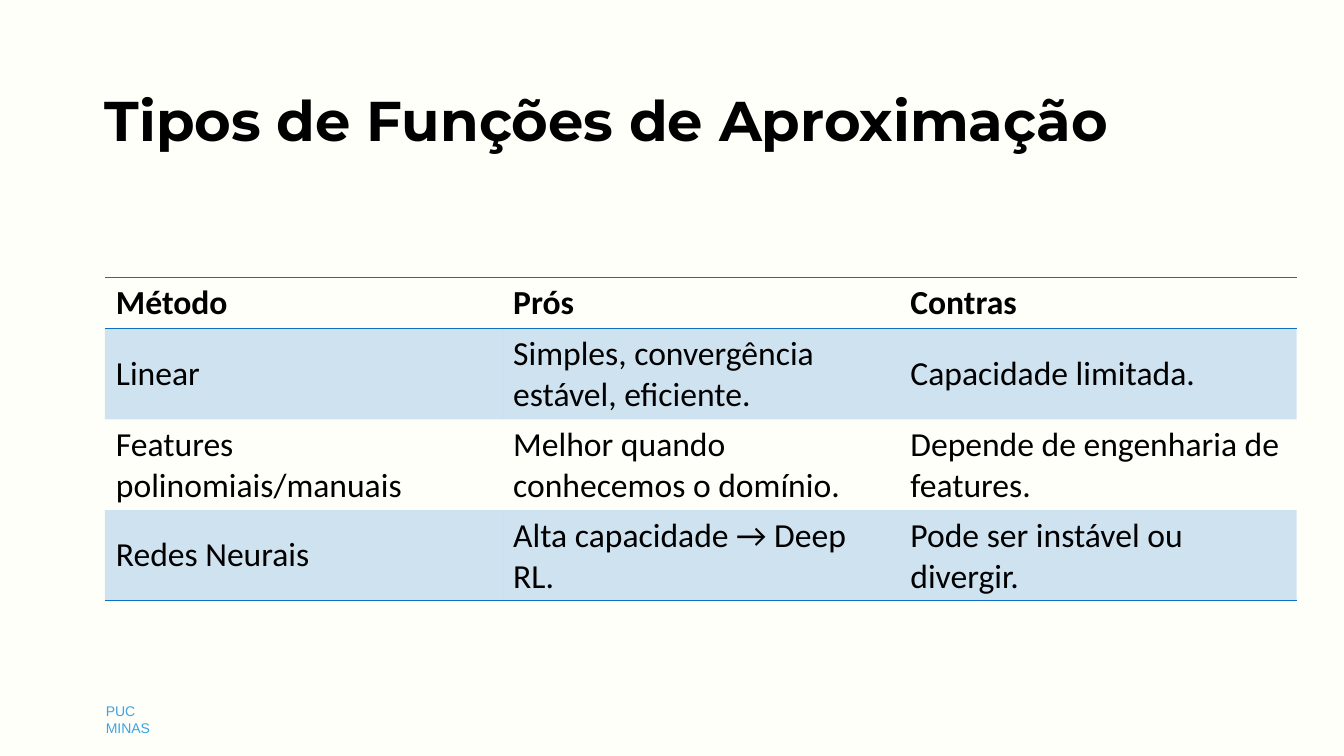
import pptx
import pptx.dml.color
import pptx.enum.text
import pptx.oxml.ns
import pptx.util
from lxml import etree

Inches = pptx.util.Inches
qn = pptx.oxml.ns.qn

COLORS = {"background": "FFFFFA", "text": "000000", "footer": "3CA3E1", "accent": "0F6FC6"}
TITLE = "Tipos de Funções de Aproximação"
FOOTER = "PUC MINAS"
METHODS = [
    ("Método", "Prós", "Contras"),
    ("Linear", "Simples, convergência estável, eficiente.", "Capacidade limitada."),
    ("Features polinomiais/manuais", "Melhor quando conhecemos o domínio.",
     "Depende de engenharia de features."),
    ("Redes Neurais", "Alta capacidade → Deep RL.", "Pode ser instável ou divergir."),
]
COLUMN_WIDTH = 3.94
HEADER_HEIGHT, BODY_HEIGHT = 0.51, 0.9
RULED_EDGES = {0, 1, len(METHODS)}
BAND_OPACITY = 20


def rgb(name):
    return pptx.dml.color.RGBColor.from_string(COLORS[name])


def set_font(p, name, size, color, bold=False):
    p.font.name = name
    p.font.size = pptx.util.Pt(size)
    p.font.bold = bold
    p.font.color.rgb = rgb(color)


def add_text(s, text, box, margins, font):
    tf = s.shapes.add_textbox(*map(Inches, box)).text_frame
    tf.word_wrap = True
    tf.margin_left = tf.margin_right = Inches(margins[0])
    tf.margin_top = tf.margin_bottom = Inches(margins[1])
    tf.text = text
    set_font(tf.paragraphs[0], *font)


def fill_cell(cell, banded):
    if not banded:
        cell.fill.background()
        return
    cell.fill.solid()
    cell.fill.fore_color.rgb = rgb("accent")
    color = cell._tc.tcPr.find(".//" + qn("a:srgbClr"))
    etree.SubElement(color, qn("a:alpha"), val=str(BAND_OPACITY * 1000))


def set_borders(cell, row):
    ruled = {"L": False, "R": False, "T": row in RULED_EDGES, "B": row + 1 in RULED_EDGES}
    for position, (side, visible) in enumerate(ruled.items()):
        ln = etree.Element(qn("a:ln" + side), w=str(pptx.util.Pt(1)))
        if visible:
            fill = etree.SubElement(ln, qn("a:solidFill"))
            etree.SubElement(fill, qn("a:srgbClr"), val=COLORS["accent"])
        else:
            etree.SubElement(ln, qn("a:noFill"))
        cell._tc.tcPr.insert(position, ln)


def add_methods_table(s):
    rows, cols = len(METHODS), len(METHODS[0])
    heights = [HEADER_HEIGHT] + [BODY_HEIGHT] * (rows - 1)
    table = s.shapes.add_table(rows, cols, Inches(1.04), Inches(2.75),
                               Inches(COLUMN_WIDTH * cols), Inches(sum(heights))).table
    table.horz_banding = False
    table.first_row = False
    for column in table.columns:
        column.width = Inches(COLUMN_WIDTH)
    for r, texts in enumerate(METHODS):
        table.rows[r].height = Inches(heights[r])
        for c, text in enumerate(texts):
            cell = table.cell(r, c)
            cell.text = text
            cell.vertical_anchor = pptx.enum.text.MSO_ANCHOR.MIDDLE
            cell.margin_left = cell.margin_right = Inches(0.11)
            set_font(cell.text_frame.paragraphs[0], "Calibri", 24, "text", r == 0)
            fill_cell(cell, r % 2 == 1)
            set_borders(cell, r)


def main():
    """Build the slide comparing types of approximation functions."""
    prs = pptx.Presentation()
    prs.slide_width, prs.slide_height = Inches(13.33), Inches(7.5)
    s = prs.slides.add_slide(prs.slide_layouts[6])
    s.background.fill.solid()
    s.background.fill.fore_color.rgb = rgb("background")
    add_text(s, FOOTER, (1.05, 6.97, 0.66, 0.17), (0, 0), ("Arial", 10, "footer"))
    add_text(s, TITLE, (0.94, 0.8, 11.61, 0.77), (0.1, 0.05), ("Montserrat", 40, "text", True))
    add_methods_table(s)
    prs.save("out.pptx")


if __name__ == "__main__":
    main()
